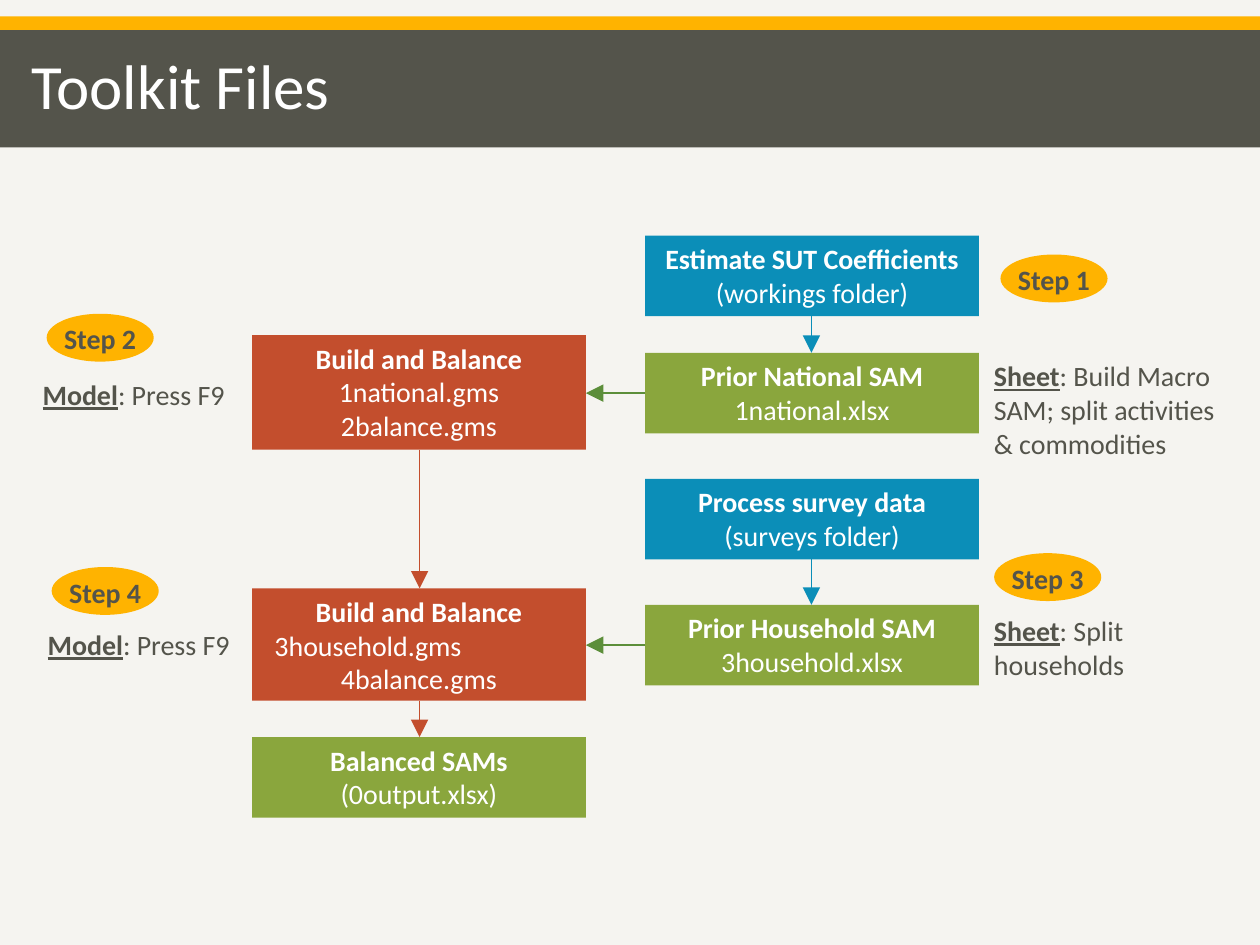
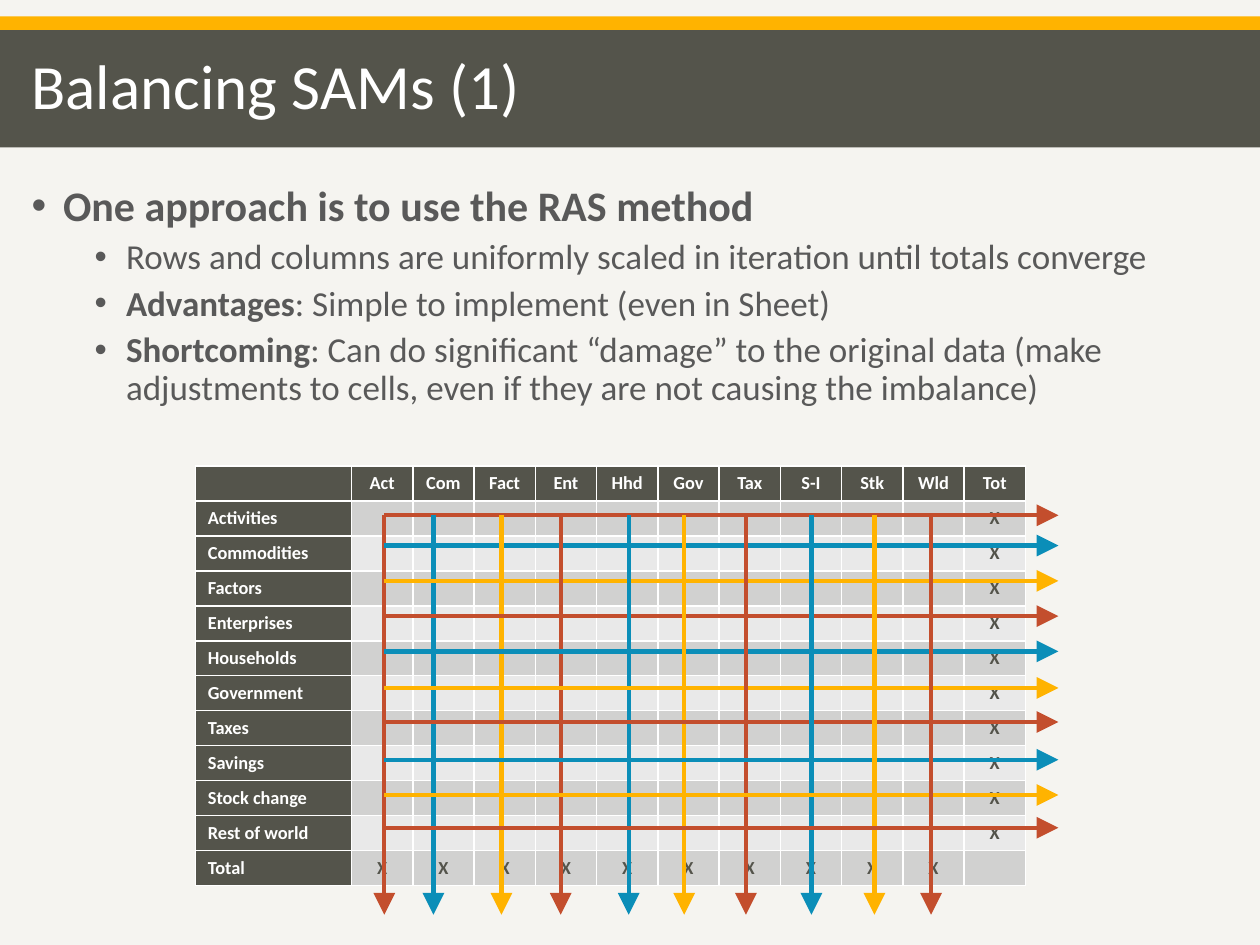
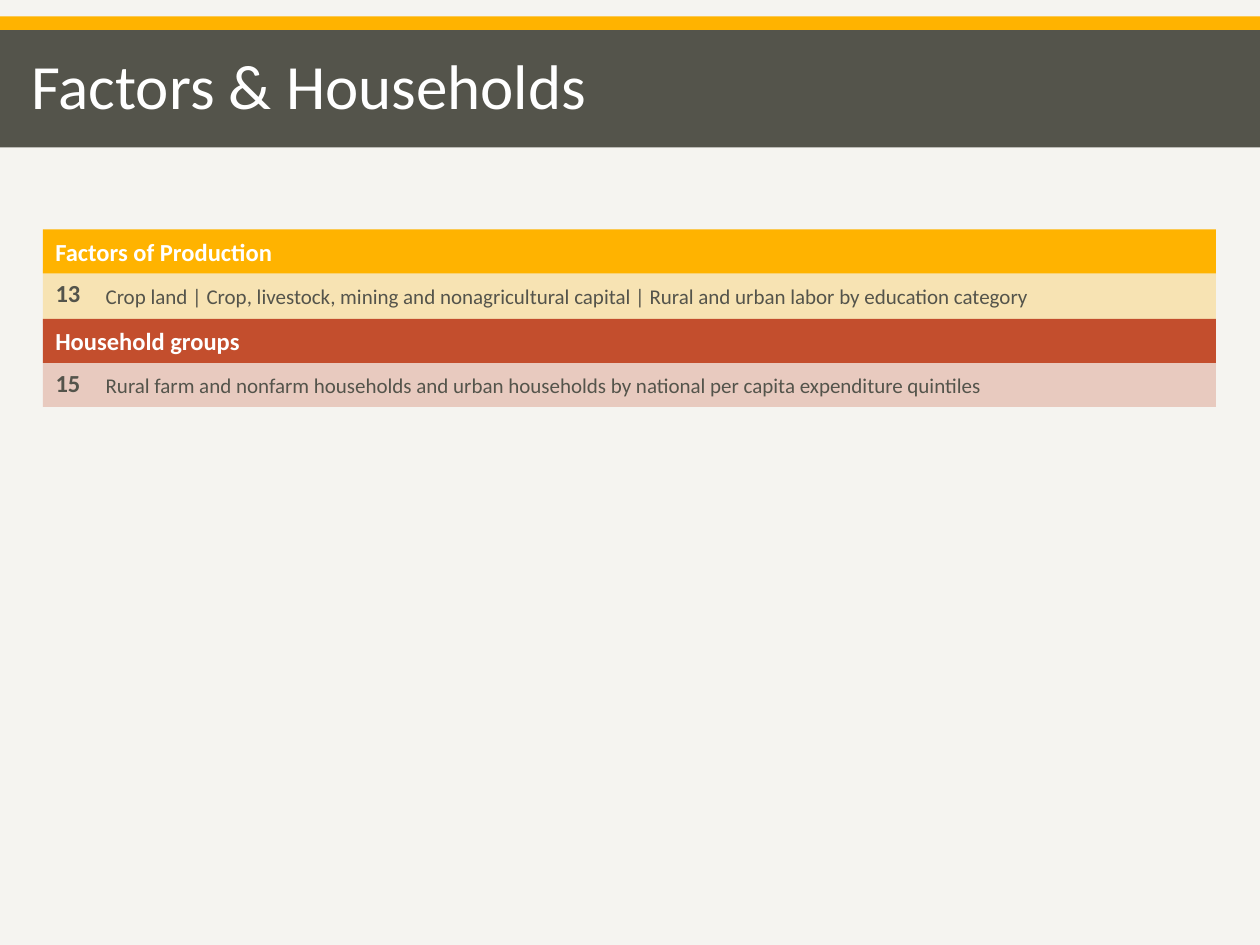
from itertools import cycle
from typing import NamedTuple

import lxml.etree
import pptx
import pptx.dml.color
import pptx.enum.shapes
import pptx.enum.text
import pptx.oxml.ns
import pptx.util

HUES = {
    "paper": "F5F4F0", "ink": "54544B", "white": "FFFFFF", "gold": "FFB300",
    "rust": "C34E2D", "blue": "0B8EB8", "lime": "8AA63D", "leaf": "5C8E3A",
    "gray": "595959", "odd": "D1D1D0", "even": "E9E9E9",
}
FONT = "Calibri"
COLS = 100
ROWS = 75
UNIT = pptx.util.Inches(10) // COLS

ALIGN = pptx.enum.text.PP_ALIGN
ANCHOR = pptx.enum.text.MSO_ANCHOR
FORM = pptx.enum.shapes.MSO_SHAPE
Parts = str | list[tuple[str, str]]


class Cell(NamedTuple):
    x: float
    y: float
    w: float
    h: float


class Box(NamedTuple):
    cell: Cell
    hue: str
    head: str
    file: str


class Step(NamedTuple):
    x: float
    y: float
    name: str


class Note(NamedTuple):
    cell: Cell
    tool: str
    task: str


class Arrow(NamedTuple):
    x: float
    y: float
    x2: float
    y2: float
    hue: str


class Group(NamedTuple):
    y: float
    hue: str
    name: str
    count: str
    list: str
    tint: Cell


def grid(*marks: float) -> list[int]:
    return [round(mark * UNIT) for mark in marks]


def tone(name: str) -> pptx.dml.color.RGBColor:
    return pptx.dml.color.RGBColor.from_string(HUES[name])


def node(parent, tag: str, **attrs: str):
    return lxml.etree.SubElement(parent, pptx.oxml.ns.qn(tag), attrs)


def say(frame, text: Parts, *, size: float = 16, hue: str = "ink", style: str = "",
        align=ALIGN.LEFT, indent: float = 0, bullet: bool = False, level: int = 0,
        space: float = 0, lead: float = 1) -> None:
    para = frame.add_paragraph() if frame.text else frame.paragraphs[0]
    para.alignment = align
    para.level = level
    para.line_spacing = lead
    para.space_before = pptx.util.Pt(space)
    props = para._p.get_or_add_pPr()
    if indent:
        hang = pptx.util.Inches(0.25) if bullet else 0
        props.set("marL", str(pptx.util.Inches(indent)))
        props.set("indent", str(-hang))
    if bullet:
        node(props, "a:buFont", typeface="Arial")
        node(props, "a:buChar", char="•")
    if not text:
        node(para._p, "a:endParaRPr", sz=str(round(size * 100)))
        return
    for words, mark in [(text, style)] if isinstance(text, str) else text:
        run = para.add_run()
        run.text = words
        font = run.font
        font.name, font.size = FONT, pptx.util.Pt(size)
        font.bold, font.underline = "b" in mark, "u" in mark
        font.color.rgb = tone(hue)


def label(slide, cell: Cell, text: Parts, anchor=ANCHOR.TOP, **style) -> None:
    frame = slide.shapes.add_textbox(*grid(*cell)).text_frame
    frame.word_wrap = True
    frame.vertical_anchor = anchor
    say(frame, text, **style)


def block(slide, cell: Cell, hue: str, form=FORM.RECTANGLE, alpha: int = 100):
    shape = slide.shapes.add_shape(form, *grid(*cell))
    shape.shadow.inherit = False
    shape.fill.solid()
    shape.fill.fore_color.rgb = tone(hue)
    shape.line.fill.background()
    shape.text_frame.vertical_anchor = ANCHOR.TOP
    if alpha < 100:
        color = shape._element.spPr.find(".//" + pptx.oxml.ns.qn("a:srgbClr"))
        node(color, "a:alpha", val=str(alpha * 1000))
    return shape


def draw(slide, arrow: Arrow, width: float) -> None:
    line = slide.shapes.add_connector(
        pptx.enum.shapes.MSO_CONNECTOR.STRAIGHT, *grid(*arrow[:4]))
    line.line.color.rgb = tone(arrow.hue)
    line.line.width = pptx.util.Pt(width)
    node(line.line._get_or_add_ln(), "a:tailEnd", type="triangle", w="lg", len="lg")
    node(line._element.spPr, "a:effectLst")


def place(holder, cell: Cell, anchor):
    holder.left, holder.top, holder.width, holder.height = grid(*cell)
    frame = holder.text_frame
    frame.word_wrap = True
    frame.auto_size = pptx.enum.text.MSO_AUTO_SIZE.NONE
    frame.vertical_anchor = anchor
    return frame


def start(deck, title: str, layout: int = 5):
    slide = deck.slides.add_slide(deck.slide_layouts[layout])
    frame = place(slide.shapes.title, Cell(1.5, 2.4, 88.3, 9.3), ANCHOR.MIDDLE)
    say(frame, title, size=36, hue="white", lead=0.9)
    return slide


def brand(deck, slide) -> None:
    master = deck.slide_master
    master.background.fill.solid()
    master.background.fill.fore_color.rgb = tone("paper")
    bands = [(Cell(0, 1.3, COLS, 1.1), "gold"), (Cell(0, 2.4, COLS, 9.3), "ink")]
    for spot, (cell, hue) in enumerate(bands, 2):
        master.shapes._spTree.insert(spot, block(slide, cell, hue)._element)


LEFT, RIGHT, WIDE, LOW = 20, 51.2, 26.5, 6.4
BUILD = "Build and Balance"
BOXES = [
    Box(Cell(LEFT, 46.7, WIDE, 8.9), "rust", BUILD, ""),
    Box(Cell(RIGHT, 38, WIDE, LOW), "blue", "Process survey data", "(surveys folder)"),
    Box(Cell(RIGHT, 48, WIDE, LOW), "lime", "Prior Household SAM", "3household.xlsx"),
    Box(Cell(RIGHT, 18.7, WIDE, LOW), "blue", "Estimate SUT Coefficients", "(workings folder)"),
    Box(Cell(RIGHT, 28, WIDE, LOW), "lime", "Prior National SAM", "1national.xlsx"),
    Box(Cell(LEFT, 26.6, WIDE, 9.1), "rust", BUILD, "1national.gms 2balance.gms"),
    Box(Cell(LEFT, 58.5, WIDE, LOW), "lime", "Balanced SAMs", "(0output.xlsx)"),
]
FLOWS = [
    Arrow(64.4, 25.1, 64.4, 28, "blue"),
    Arrow(RIGHT, 31.2, 46.5, 31.2, "leaf"),
    Arrow(33.3, 35.7, 33.3, 46.7, "rust"),
    Arrow(64.4, 44.3, 64.4, 48, "blue"),
    Arrow(RIGHT, 51.2, 46.5, 51.2, "leaf"),
    Arrow(33.3, 55.6, 33.3, 58.5, "rust"),
]
STEPS = [
    Step(79.4, 20.2, "Step 1"), Step(3.7, 24.9, "Step 2"),
    Step(78.9, 43.9, "Step 3"), Step(4.1, 45, "Step 4"),
]
NOTES = [
    Note(Cell(2.4, 29.5, 19.9, 3.7), "Model", ": Press F9"),
    Note(Cell(2.8, 49.3, 24.2, 3.7), "Model", ": Press F9"),
    Note(Cell(77.9, 48.2, 17.5, 6.1), "Sheet", ": Split households"),
    Note(Cell(77.9, 28, 19.7, 6.1), "Sheet",
         ": Build Macro SAM; split activities & commodities"),
]


def files(slide) -> None:
    for box in BOXES:
        frame = block(slide, box.cell, box.hue).text_frame
        frame.word_wrap = True
        if box.file:
            say(frame, [(box.head + " ", "b"), (box.file, "")],
                hue="white", align=ALIGN.CENTER)
        else:
            say(frame, box.head, hue="white", style="b", align=ALIGN.CENTER)
            say(frame, "3household.gms", hue="white", indent=0.08)
            say(frame, "4balance.gms", hue="white", align=ALIGN.CENTER)
    for flow in FLOWS:
        draw(slide, flow, 0.75)
    for step in STEPS:
        block(slide, Cell(step.x, step.y, 8.5, 3.8), "gold", FORM.OVAL)
        label(slide, Cell(step.x + 0.4, step.y + 0.15, 9.2, 3.3), step.name, style="b")
    for note in NOTES:
        label(slide, note.cell, [(note.tool, "bu"), (note.task, "")])


POINTS = [
    [("Rows and columns are uniformly scaled in iteration until totals converge", "")],
    [("Advantages", "b"), (": Simple to implement (even in Sheet)", "")],
    [("Shortcoming", "b"),
     (": Can do significant “damage” to the original data (make adjustments to cells, "
      "even if they are not causing the imbalance)", "")],
]
HEADS = ["", "Act", "Com", "Fact", "Ent", "Hhd", "Gov", "Tax", "S-I", "Stk", "Wld", "Tot"]
SIDES = ["Activities", "Commodities", "Factors", "Enterprises", "Households", "Government",
         "Taxes", "Savings", "Stock change", "Rest of world", "Total"]
DOWN = [30.5, 34.4, 39.8, 44.5, 49.9, 54.3, 59.2, 64.4, 69.4, 73.9]
ACROSS = [40.9, 43.3, 46.1, 48.9, 51.7, 54.6, 57.3, 60.3, 63.1, 65.7]


def edge(cell) -> None:
    props = cell._tc.get_or_add_tcPr()
    for spot, side in enumerate(("a:lnL", "a:lnR", "a:lnT", "a:lnB")):
        line = node(props, side, w=str(pptx.util.Pt(1)))
        node(node(line, "a:solidFill"), "a:srgbClr", val=HUES["white"])
        props.insert(spot, line)


def matrix(slide) -> None:
    size = len(HEADS)
    area = Cell(15.5, 37, 65.9, 33)
    table = slide.shapes.add_table(size, size, *grid(*area)).table
    table.first_row = table.horz_banding = False
    side = 12.4
    for c, col in enumerate(table.columns):
        col.width = grid((area.w - side) / (size - 1) if c else side)[0]
    last = size - 1
    rows = [HEADS] + [
        [name] + ["X" if (r == last) != (c == last) else "" for c in range(1, size)]
        for r, name in enumerate(SIDES, 1)]
    for r, row in enumerate(rows):
        table.rows[r].height = grid(area.h / size)[0]
        for c, text in enumerate(row):
            cell = table.cell(r, c)
            rim = r == 0 or c == 0
            cell.fill.solid()
            cell.fill.fore_color.rgb = tone("ink" if rim else "odd" if r % 2 else "even")
            edge(cell)
            say(cell.text_frame, text, size=10.5, style="b", hue="white" if rim else "ink",
                align=ALIGN.CENTER if c else ALIGN.LEFT)


def balance(slide) -> None:
    frame = place(slide.placeholders[1], Cell(1.5, 14.2, 96.6, 59), ANCHOR.TOP)
    say(frame, "One approach is to use the RAS method", size=24, hue="gray", style="b",
        indent=0.25, bullet=True, lead=0.9)
    for point in POINTS:
        say(frame, point, size=20, hue="gray", indent=0.75, bullet=True, level=1,
            space=5, lead=0.9)
    matrix(slide)
    for x, y, hue in zip(DOWN, ACROSS, cycle(("rust", "blue", "gold"))):
        draw(slide, Arrow(x, ACROSS[0], x, 72.6, hue), 2.5)
        draw(slide, Arrow(DOWN[0], y, 84, y, hue), 2.5)


GROUPS = [
    Group(18.2, "gold", "Factors of Production", "13",
          "Crop land | Crop, livestock, mining and nonagricultural capital | "
          "Rural and urban labor by education category", Cell(3.4, 21.3, 93.1, 4.4)),
    Group(25.3, "rust", "Household groups", "15",
          "Rural farm and nonfarm households and urban households by national "
          "per capita expenditure quintiles", Cell(3.4, 28.8, 93.1, 3.5)),
]


def groups(slide) -> None:
    for item in GROUPS:
        _, y, _, tall = item.tint
        block(slide, item.tint, item.hue, alpha=25)
        label(slide, Cell(7.4, y + tall / 2 - 1.5, 85.4, 3), item.list,
              anchor=ANCHOR.MIDDLE, size=12)
    for item in GROUPS:
        x, wide = item.tint.x, item.tint.w
        block(slide, Cell(x, item.y, wide, 3.5), item.hue)
        label(slide, Cell(x, item.y + 0.1, 24.8, 3.4), item.name,
              size=14, hue="white", style="b")
        label(slide, Cell(x, item.y + 3.4, 4, 3.4), item.count,
              size=14, style="b", align=ALIGN.CENTER)


def main() -> None:
    deck = pptx.Presentation()
    deck.slide_width, deck.slide_height = grid(COLS, ROWS)
    first = start(deck, "Toolkit Files")
    brand(deck, first)
    files(first)
    balance(start(deck, "Balancing SAMs (1)", layout=1))
    groups(start(deck, "Factors & Households"))
    deck.save("out.pptx")


if __name__ == "__main__":
    main()
